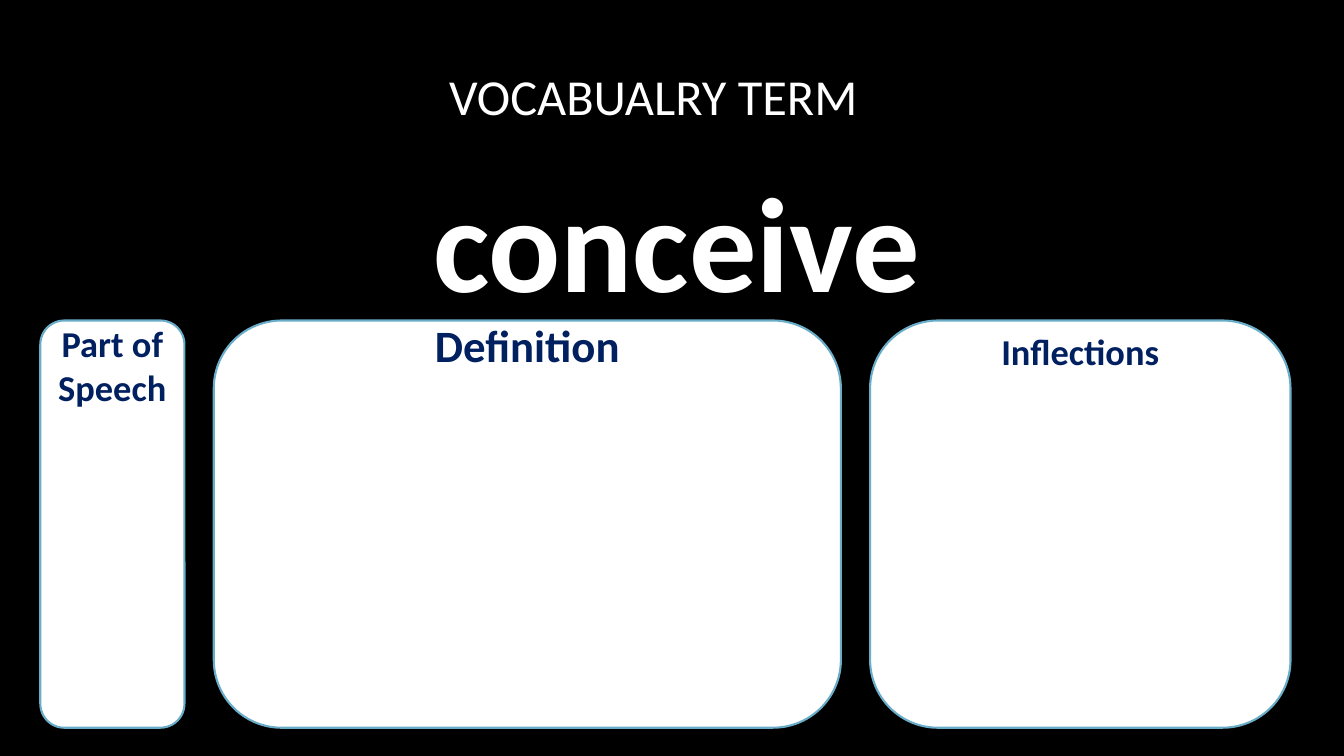
import pptx
import pptx.util
import pptx.dml.color
import pptx.enum.shapes
import pptx.enum.text

PX = 9144  # 100 px to the inch
HUES = {"back": "000000", "light": "FFFFFF", "navy": "002060", "edge": "6AADC8"}


def tint(name):
    return pptx.dml.color.RGBColor.from_string(HUES[name])


def write(shape, text, size, hue, bold, low=5):
    frame = shape.text_frame
    form = {
        "word_wrap": True,
        "vertical_anchor": pptx.enum.text.MSO_ANCHOR.MIDDLE,
        "margin_left": 5 * PX,
        "margin_right": 5 * PX,
        "margin_top": 0 if low > 5 else 5 * PX,
        "margin_bottom": low * PX,
    }
    for key, value in form.items():
        setattr(frame, key, value)
    line = frame.paragraphs[0]
    line.alignment = pptx.enum.text.PP_ALIGN.CENTER
    run = line.add_run()
    run.text = text
    font = {"name": "Calibri", "size": pptx.util.Pt(size), "bold": bold}
    for key, value in font.items():
        setattr(run.font, key, value)
    run.font.color.rgb = tint(hue)


deck = pptx.Presentation()
deck.slide_width, deck.slide_height = 1333 * PX, 750 * PX
slide = deck.slides.add_slide(deck.slide_layouts[6])
slide.background.fill.solid()
slide.background.fill.fore_color.rgb = tint("back")

# Heading and term: text, top, width, height, size, bold
heads = [
    ("VOCABUALRY TERM", 47, 1062, 96, 36, False),
    ("conceive", 149, 1108, 176, 96, True),
]
for text, top, wide, high, size, bold in heads:
    box = slide.shapes.add_textbox(117 * PX, top * PX, wide * PX, high * PX)
    write(box, text, size, "light", bold)

# Answer cards: label, left, width, size, bottom inset that lifts the label
cards = [
    ("Part of Speech", 40, 143, 26, 316),
    ("Definition", 212, 622, 32, 356),
    ("Inflections", 863, 417, 26, 343),
]
for text, left, wide, size, low in cards:
    card = slide.shapes.add_shape(
        pptx.enum.shapes.MSO_SHAPE.ROUNDED_RECTANGLE,
        left * PX, 318 * PX, wide * PX, 404 * PX)
    card.shadow.inherit = False
    card.fill.solid()
    card.fill.fore_color.rgb = tint("light")
    card.line.color.rgb = tint("edge")
    card.line.width = pptx.util.Pt(1.5)
    write(card, text, size, "navy", True, low)

deck.save("out.pptx")
